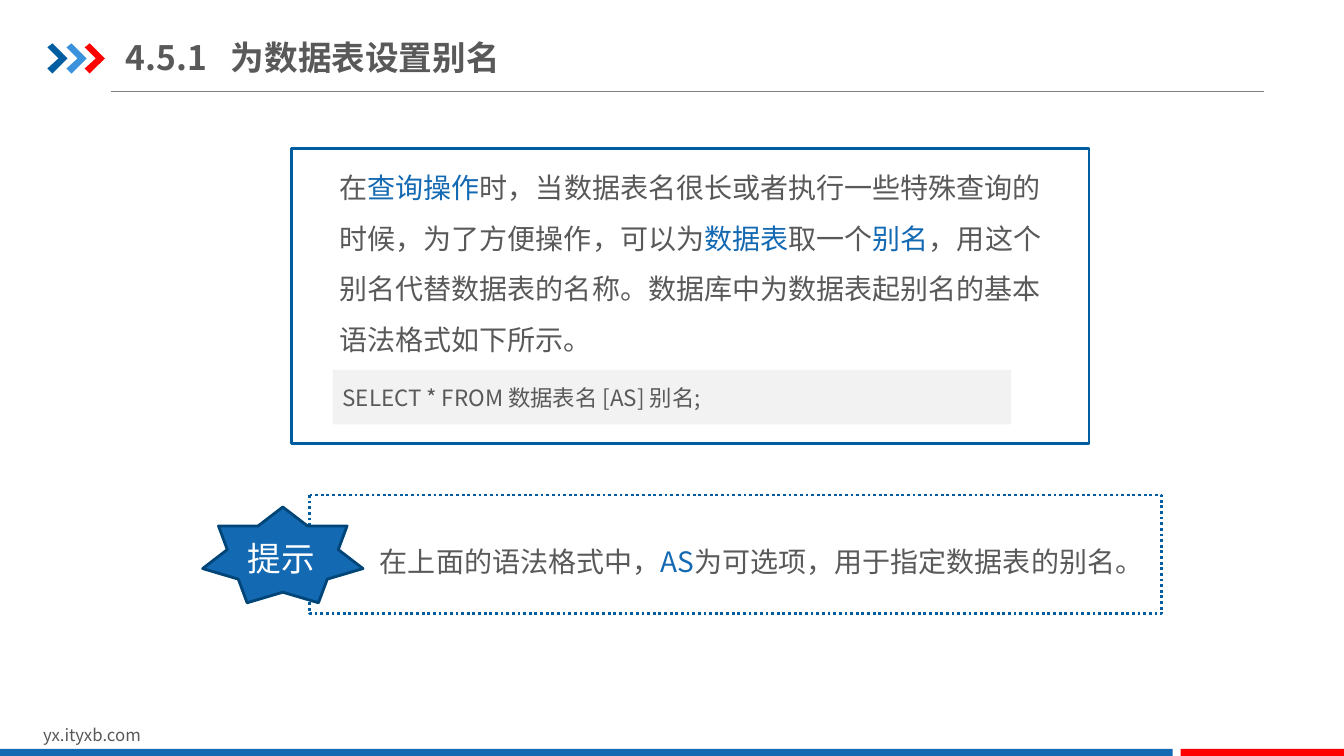
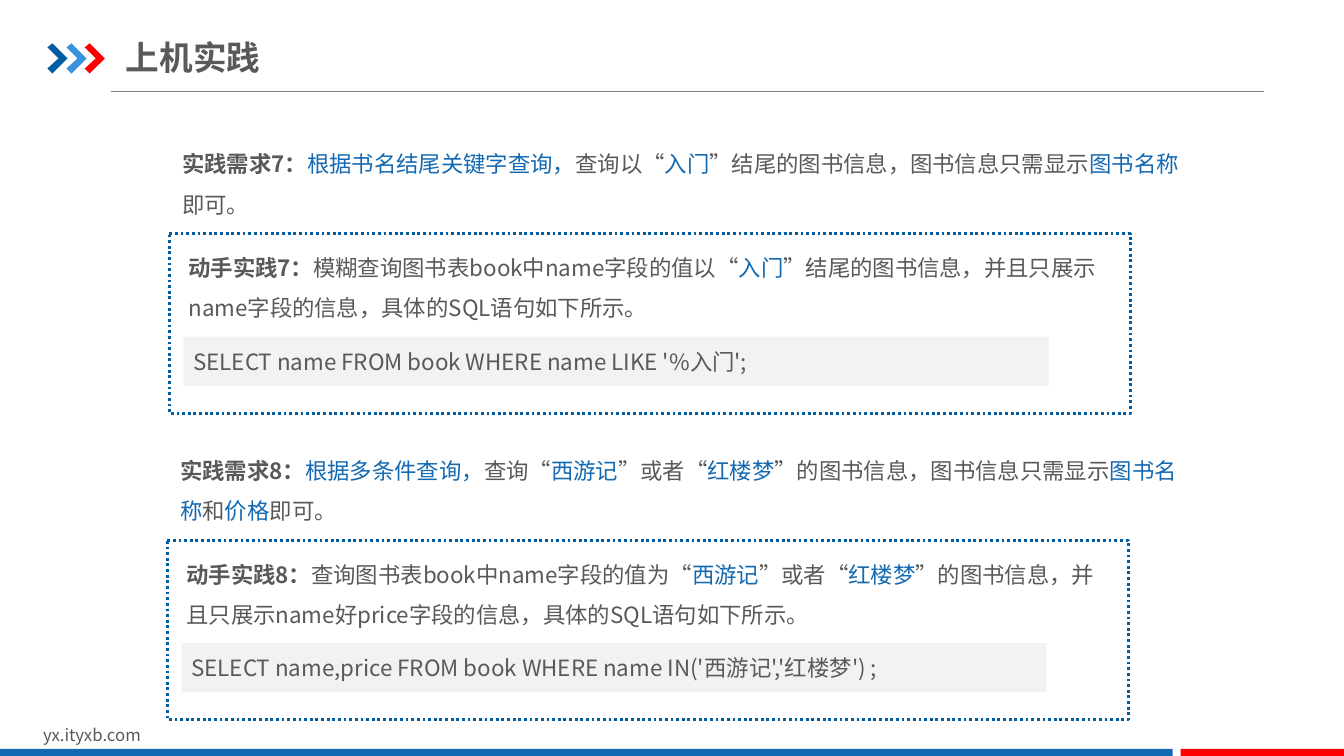
"""Build two slides on table aliases and query practice."""
from dataclasses import dataclass

from lxml.etree import SubElement
from pptx import Presentation
from pptx.dml.color import RGBColor
from pptx.enum.dml import MSO_LINE
from pptx.enum.shapes import MSO_CONNECTOR, MSO_SHAPE
from pptx.enum.text import MSO_ANCHOR, PP_ALIGN
from pptx.oxml.ns import qn
from pptx.util import Pt

PX = 9144


@dataclass(frozen=True)
class Theme:
    font: str = "Noto Sans CJK SC"
    text: RGBColor = RGBColor(0x59, 0x59, 0x59)
    accent: RGBColor = RGBColor(0x13, 0x69, 0xB2)
    border: RGBColor = RGBColor(0x00, 0x5D, 0xA2)
    light: RGBColor = RGBColor(0x39, 0x92, 0xDB)
    dark: RGBColor = RGBColor(0x00, 0x45, 0x78)
    red: RGBColor = RGBColor(0xFF, 0x00, 0x00)
    rule: RGBColor = RGBColor(0x80, 0x80, 0x80)
    code: RGBColor = RGBColor(0xF2, 0xF2, 0xF2)
    white: RGBColor = RGBColor(0xFF, 0xFF, 0xFF)
    title_size: int = 24
    lead_size: int = 20
    body_size: int = 16
    footer_size: int = 12


theme = Theme()


def add_panel(slide, area, fill, line=None, dash=None, kind=MSO_SHAPE.RECTANGLE):
    panel = slide.shapes.add_shape(kind, *(length * PX for length in area))
    panel.shadow.inherit = False
    panel.fill.solid()
    panel.fill.fore_color.rgb = fill
    if line is None:
        panel.line.fill.background()
    else:
        panel.line.color.rgb = line
        panel.line.width = Pt(2)
        if dash:
            panel.line.dash_style = dash
    return panel


def write(slide, target, text, size, heading="", spacing=None, color=theme.text, tab=None):
    """Fill a shape, or a new box at an area; bars enclose accented words."""
    box = target
    if isinstance(target, tuple):
        box = slide.shapes.add_textbox(*(length * PX for length in target))
    box.text_frame.word_wrap = True
    para = box.text_frame.paragraphs[0]
    para.alignment = PP_ALIGN.LEFT
    if spacing:
        para.line_spacing = spacing
    properties = para._p.get_or_add_pPr()
    if tab:
        tabs = SubElement(properties, qn("a:tabLst"))
        SubElement(tabs, qn("a:tab"), pos=str(tab * PX), algn="l")
    para.font.size = Pt(size)
    para.font.color.rgb = color
    para.font.name = theme.font
    SubElement(properties.find(qn("a:defRPr")), qn("a:ea"), typeface=theme.font)
    if heading:
        span = para.add_run()
        span.text = heading
        span.font.bold = True
    for index, words in enumerate(text.split("|")):
        if words:
            span = para.add_run()
            span.text = words
            if index % 2:
                span.font.color.rgb = theme.accent
    return box


deck = Presentation()
deck.slide_width = 1333 * PX
deck.slide_height = 750 * PX

for title in ("4.5.1\t为数据表设置别名", "上机实践"):
    slide = deck.slides.add_slide(deck.slide_layouts[6])
    rule = slide.shapes.add_connector(
        MSO_CONNECTOR.STRAIGHT, 110 * PX, 91 * PX, 1254 * PX, 91 * PX)
    rule.line.color.rgb = theme.rule
    rule.line.width = Pt(0.75)
    SubElement(rule._element.spPr, qn("a:effectLst"))
    for left, color in ((47, theme.border), (66, theme.light), (84, theme.red)):
        outline = slide.shapes.build_freeform(left, 47, scale=PX)
        outline.add_line_segments(
            [(left + 5, 43), (left + 20, 58), (left + 5, 73), (left, 68), (left + 11, 58)])
        chevron = outline.convert_to_shape()
        chevron.shadow.inherit = False
        chevron.fill.solid()
        chevron.fill.fore_color.rgb = color
        chevron.line.fill.background()
    write(slide, (33, 714, 318, 30), "yx.ityxb.com", theme.footer_size)
    add_panel(slide, (0, 743, 1163, 9), theme.accent)
    add_panel(slide, (1171, 743, 163, 9), theme.red)
    heading_box = write(slide, (125, 29, 426, 55), "", theme.title_size, heading=title, tab=104)
    heading_box.text_frame.margin_left = heading_box.text_frame.margin_right = 0
    heading_box.text_frame.vertical_anchor = MSO_ANCHOR.MIDDLE

alias_slide, practice_slide = deck.slides

add_panel(alias_slide, (289, 147, 791, 293), theme.white, theme.border,
          kind=MSO_SHAPE.FLOWCHART_PROCESS)
write(alias_slide, (327, 148, 726, 212),
      "在|查询操作|时，当数据表名很长或者执行一些特殊查询的时候，为了方便操作，可以为|数据表|"
      "取一个|别名|，用这个别名代替数据表的名称。数据库中为数据表起别名的基本语法格式如下所示。",
      theme.lead_size, spacing=1.5)
syntax = add_panel(alias_slide, (330, 367, 673, 54), theme.code)
write(alias_slide, syntax, "SELECT * FROM 数据表名 [AS] 别名;", theme.body_size)

add_panel(alias_slide, (307, 491, 845, 118), theme.white, theme.border,
          MSO_LINE.ROUND_DOT, MSO_SHAPE.FLOWCHART_PROCESS)
write(alias_slide, (367, 519, 771, 61),
      "在上面的语法格式中，|AS|为可选项，用于指定数据表的别名。",
      theme.lead_size, spacing=1.5)
add_panel(alias_slide, (201, 503, 159, 95), theme.accent, theme.dark,
          kind=MSO_SHAPE.STAR_7_POINT)
write(alias_slide, (236, 509, 162, 71), "提示", theme.title_size,
      spacing=1.5, color=theme.white)

exercises = (
    (7, 168, 131,
     "|根据书名结尾关键字查询，|查询以“|入门|”结尾的图书信息，图书信息只需显示|图书名称|即可。",
     "模糊查询图书表book中name字段的值以“|入门|”结尾的图书信息，"
     "并且只展示name字段的信息，具体的SQL语句如下所示。",
     "SELECT name FROM book WHERE name LIKE '%入门';"),
    (8, 166, 435,
     "|根据多条件查询，|查询“|西游记|”或者“|红楼梦|”的图书信息，"
     "图书信息只需显示|图书名称|和|价格|即可。",
     "查询图书表book中name字段的值为“|西游记|”或者“|红楼梦|”的图书信息，"
     "并且只展示name好price字段的信息，具体的SQL语句如下所示。",
     "SELECT name,price FROM book WHERE name IN('西游记','红楼梦') ;"),
)
for number, left, top, requirement, solution, query in exercises:
    write(practice_slide, (left + 3, top, 1023, 91), requirement, theme.body_size,
          heading=f"实践需求{number}：", spacing=1.5)
    add_panel(practice_slide, (left, top + 101, 953, 178), theme.white, theme.border,
              MSO_LINE.ROUND_DOT, MSO_SHAPE.FLOWCHART_PROCESS)
    write(practice_slide, (left + 9, top + 103, 932, 91), solution, theme.body_size,
          heading=f"动手实践{number}：", spacing=1.5)
    statement = add_panel(practice_slide, (left + 14, top + 203, 858, 49), theme.code)
    write(practice_slide, statement, query, theme.body_size)

deck.save("out.pptx")
